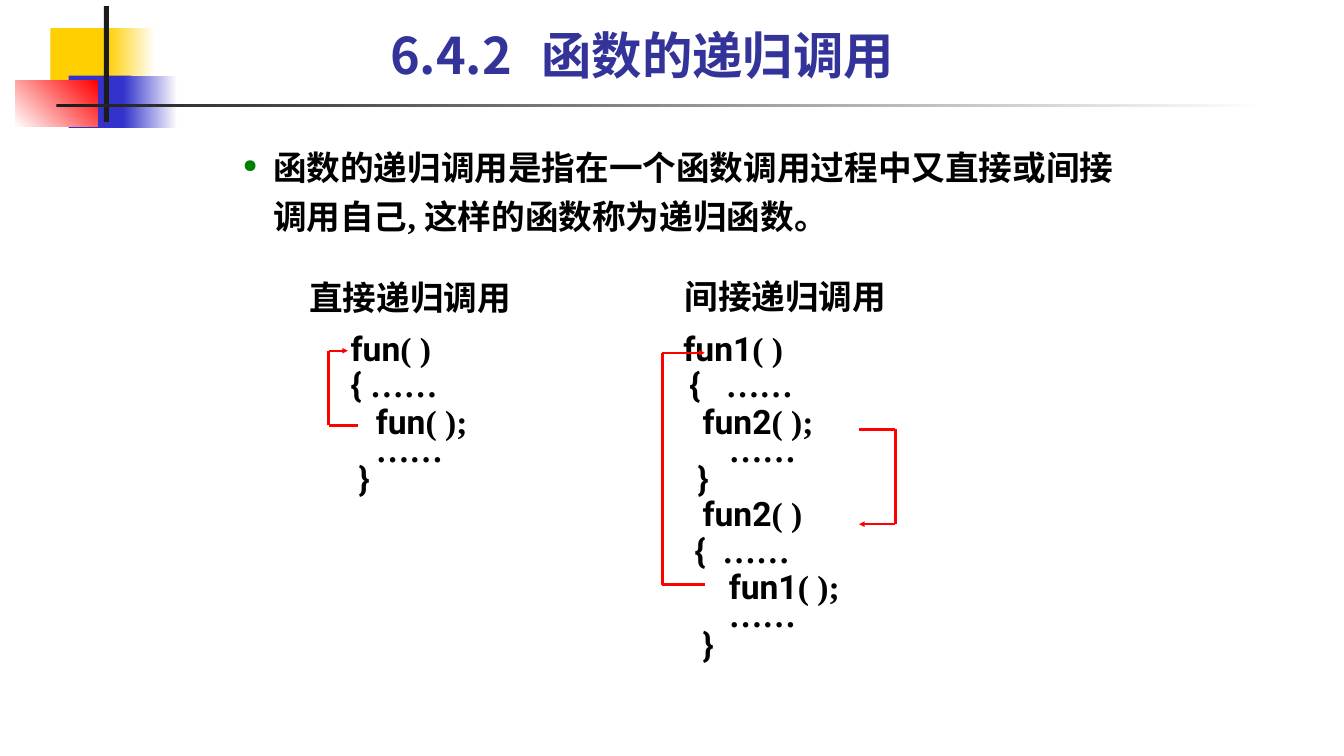
from dataclasses import dataclass
from itertools import groupby, pairwise
from typing import Any

from lxml import etree
from pptx import Presentation
from pptx import util as u
from pptx.dml import color
from pptx.enum import shapes, text
from pptx.oxml import ns


@dataclass(frozen=True)
class Theme:
    yellow: str = "FFCF01"
    blue: str = "3333CC"
    red: str = "FF0000"
    white: str = "FFFFFF"
    dark: str = "1C1C1C"
    title: str = "333399"
    body: str = "000000"
    bullet: str = "008000"
    title_size: int = 36
    body_size: int = 24
    arrow_width: float = 1.75
    chinese: str = "Noto Sans CJK SC"
    code: str = "Roboto"
    serif: str = "Times New Roman"


THEME = Theme()


@dataclass(frozen=True)
class Block:
    left: float
    top: float
    width: float
    height: float
    colors: tuple[str, ...]
    angle: int = 0


@dataclass(frozen=True)
class Span:
    words: str
    font: str = THEME.chinese


@dataclass(frozen=True)
class Line:
    spans: tuple[Span, ...]
    margin: float = 0
    indent: float = 0
    tab: float | None = None
    spacing: float | None = None
    bullet: bool = False


@dataclass(frozen=True)
class TextBox:
    left: float
    top: float
    width: float
    height: float
    lines: tuple[Line, ...]
    size: int = THEME.body_size
    color: str = THEME.body
    anchor: Any = text.MSO_ANCHOR.TOP


@dataclass(frozen=True)
class CallArrow:
    points: tuple[tuple[float, float], ...]


def code_line(words: str, margin: float, spacing: float = 0.9) -> Line:
    groups = groupby(words, key=lambda character: character in "fun12{}")
    spans = tuple(Span("".join(group), THEME.code if is_name else THEME.serif)
                  for is_name, group in groups)
    return Line(spans, margin, spacing=spacing)


BLOCKS = (
    Block(0.5, 0.28, 0.64, 0.52, (THEME.yellow,)),
    Block(1.06, 0.28, 0.48, 0.52, (THEME.yellow, THEME.white)),
    Block(0.68, 0.75, 0.62, 0.52, (THEME.blue,)),
    Block(1.22, 0.75, 0.54, 0.52, (THEME.blue, THEME.white)),
    Block(0.15, 0.8, 0.82, 0.46, (THEME.white, THEME.red), 45),
    Block(1.03, 0.06, 0.05, 1.15, (THEME.dark,)),
    Block(0.56, 1.03, 12, 0.03, (THEME.dark, THEME.white)),
)

DIRECT_CODE = (
    code_line("fun( )", 0.25),
    code_line("{ ……", 0.25),
    code_line("fun( );", 0.5),
    code_line("……", 0.5, 0.65),
    code_line("}", 0.33, 0.75),
)

INDIRECT_CODE = (
    code_line("fun1( )", 0),
    code_line("{   ……", 0.06),
    code_line("fun2( );", 0.19),
    code_line("……", 0.45, 0.65),
    code_line("}", 0.14, 0.75),
    code_line("fun2( )", 0.19),
    code_line("{  ……", 0.11),
    code_line("fun1( );", 0.45),
    code_line("……", 0.45, 0.65),
    code_line("}", 0.19, 0.75),
)

DEFINITION = Line(
    (Span("函数的递归调用是指在一个函数调用过程中又直接或间接调用自己"),
     Span(", ", THEME.serif),
     Span("这样的函数称为递归函数。")),
    margin=0.3, indent=-0.3, spacing=1.2, bullet=True)

TEXT_BOXES = (
    TextBox(3.77, 0.15, 6.33, 0.74, (Line((Span("6.4.2\t函数的递归调用"),), tab=1.55),),
            THEME.title_size, THEME.title, text.MSO_ANCHOR.BOTTOM),
    TextBox(2.31, 1.33, 9.01, 5.17, (DEFINITION,)),
    TextBox(6.69, 2.69, 2.5, 0.5, (Line((Span("间接递归调用"),)),)),
    TextBox(3.13, 3.25, 3, 1.76, DIRECT_CODE),
    TextBox(6.68, 3.25, 3.45, 3.41, INDIRECT_CODE),
    TextBox(2.97, 2.7, 2.42, 0.5, (Line((Span("直接递归调用"),)),)),
)

CALL_ARROWS = (
    CallArrow(((8.52, 4.26), (8.88, 4.26), (8.88, 5.2), (8.52, 5.2))),
    CallArrow(((6.99, 5.8), (6.57, 5.8), (6.57, 3.5), (6.99, 3.5))),
    CallArrow(((3.55, 4.22), (3.26, 4.22), (3.26, 3.48), (3.45, 3.48))),
)


def apply_format(target: Any, values: dict[str, Any]) -> None:
    for name, value in values.items():
        setattr(target, name, value)


def add_element(parent: Any, tag: str, **attributes: str) -> Any:
    return etree.SubElement(parent, ns.qn(tag), attributes)


def rgb(value: str) -> color.RGBColor:
    return color.RGBColor.from_string(value)


def draw_block(slide: Any, block: Block) -> None:
    shape = slide.shapes.add_shape(
        shapes.MSO_SHAPE.RECTANGLE,
        *map(u.Inches, (block.left, block.top, block.width, block.height)))
    shape.shadow.inherit = False
    shape.line.fill.background()
    if len(block.colors) == 1:
        shape.fill.solid()
        shape.fill.fore_color.rgb = rgb(block.colors[0])
        return
    shape.fill.gradient()
    shape.fill.gradient_angle = block.angle
    for stop, value in zip(shape.fill.gradient_stops, block.colors):
        stop.color.rgb = rgb(value)


def write_line(paragraph: Any, line: Line, box: TextBox) -> None:
    properties = paragraph._p.get_or_add_pPr()
    properties.set("marL", str(u.Inches(line.margin)))
    properties.set("indent", str(u.Inches(line.indent)))
    if line.bullet:
        add_element(add_element(properties, "a:buClr"), "a:srgbClr", val=THEME.bullet)
        add_element(properties, "a:buSzPct", val="55000")
        add_element(properties, "a:buChar", char="●")
    if line.tab:
        tab_list = add_element(properties, "a:tabLst")
        add_element(tab_list, "a:tab", pos=str(u.Inches(line.tab)), algn="l")
    if line.spacing:
        paragraph.line_spacing = line.spacing
    for span in line.spans:
        run = paragraph.add_run()
        run.text = span.words
        apply_format(run.font, {"name": span.font, "size": u.Pt(box.size), "bold": True})
        run.font.color.rgb = rgb(box.color)
        add_element(run.font._element, "a:ea", typeface=span.font)


def draw_text(slide: Any, box: TextBox) -> None:
    shape = slide.shapes.add_textbox(
        *map(u.Inches, (box.left, box.top, box.width, box.height)))
    frame = shape.text_frame
    apply_format(frame, {"word_wrap": True, "vertical_anchor": box.anchor})
    for index, line in enumerate(box.lines):
        paragraph = frame.add_paragraph() if index else frame.paragraphs[0]
        write_line(paragraph, line, box)


def draw_call_arrow(slide: Any, arrow: CallArrow) -> None:
    for start, end in pairwise(arrow.points):
        connector = slide.shapes.add_connector(
            shapes.MSO_CONNECTOR.STRAIGHT, *map(u.Inches, (*start, *end)))
        connector.line.width = u.Pt(THEME.arrow_width)
        connector.line.color.rgb = rgb(THEME.red)
        if end == arrow.points[-1]:
            add_element(connector.line._get_or_add_ln(), "a:tailEnd",
                        type="triangle", w="sm", len="sm")
        add_element(connector._element.spPr, "a:effectLst")


def main() -> None:
    presentation = Presentation()
    apply_format(presentation, {"slide_width": u.Inches(13.33), "slide_height": u.Inches(7.5)})
    slide = presentation.slides.add_slide(presentation.slide_layouts[6])
    for block in BLOCKS:
        draw_block(slide, block)
    for box in TEXT_BOXES:
        draw_text(slide, box)
    for arrow in CALL_ARROWS:
        draw_call_arrow(slide, arrow)
    presentation.save("out.pptx")


if __name__ == "__main__":
    main()
